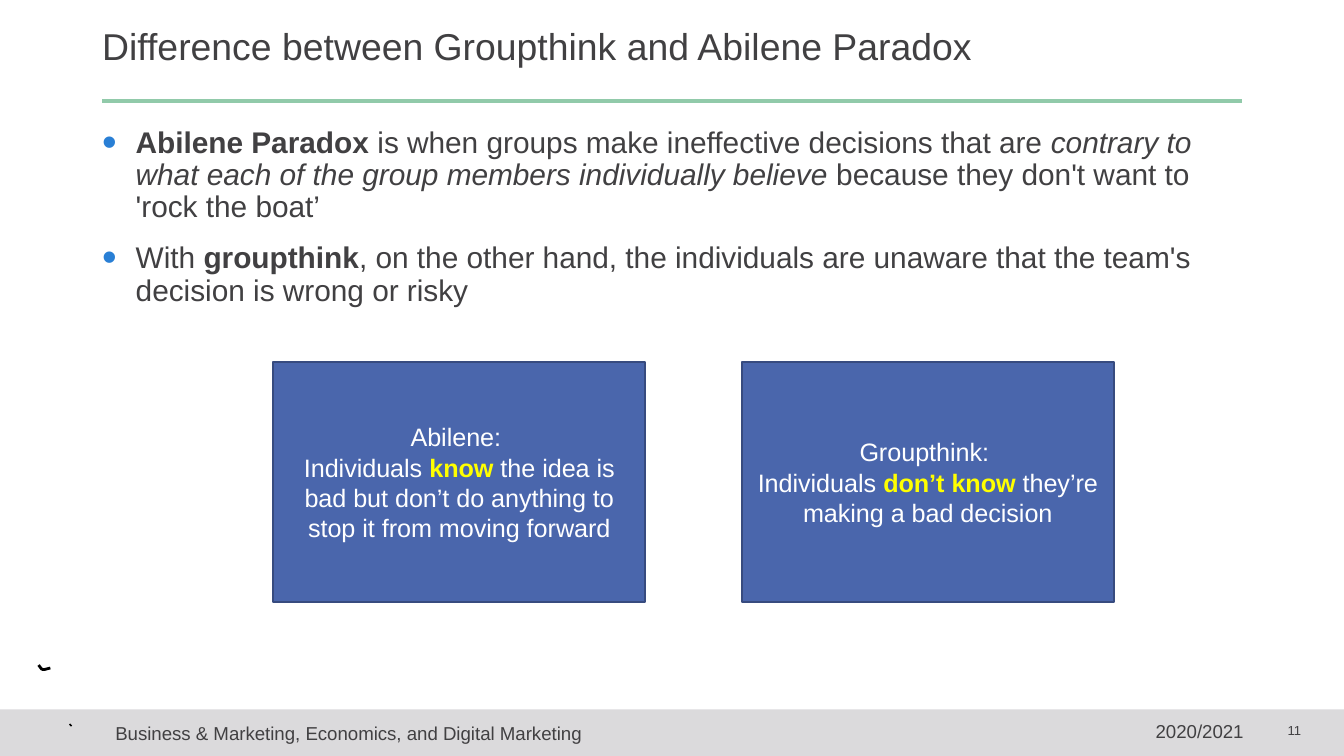
from lxml import etree
from pptx import Presentation
from pptx.dml.color import RGBColor
from pptx.enum.shapes import MSO_CONNECTOR, MSO_SHAPE
from pptx.enum.text import MSO_ANCHOR, MSO_AUTO_SIZE, PP_ALIGN
from pptx.oxml.ns import qn
from pptx.util import Pt

RECT, LINE = MSO_SHAPE.RECTANGLE, MSO_CONNECTOR.STRAIGHT
LEFT, CENTER, RIGHT = PP_ALIGN.LEFT, PP_ALIGN.CENTER, PP_ALIGN.RIGHT
TOP, MIDDLE = MSO_ANCHOR.TOP, MSO_ANCHOR.MIDDLE

COLORS = {
    "text": "414042", "rule": "91CAAA", "bullet": "297FD5", "footer": "DBDADC",
    "box": "4A66AC", "edge": "374B7F", "white": "FFFFFF", "yellow": "FFFF00",
    "ink": "000000",
}
W, H = 720, 405
MARGIN = 54.72

# A paragraph is a list of (text, style) runs.
TITLE = [[("Difference between Groupthink and Abilene Paradox", "")]]
BULLETS = [
    [("Abilene Paradox ", "bold"),
     ("is when groups make ineffective decisions that are ", ""),
     ("contrary to what each of the group members individually believe ", "italic"),
     ("because they don't want to 'rock the boat’", "")],
    [("With ", ""), ("groupthink", "bold"),
     (", on the other hand, the individuals are unaware that the team's "
      "decision is wrong or risky", "")],
]
BOXES = [
    [[("Abilene: ", "")],
     [("Individuals ", ""), ("know", "key"),
      (" the idea is bad but don’t do anything to stop it from moving forward", "")]],
    [[("Groupthink: ", "")],
     [("Individuals ", ""), ("don’t know ", "key"),
      ("they’re making a bad decision", "")]],
]
# text, (left, top, width, height), size, alignment, inset, wrap
FOOTER = [
    ("11", (658, 387.3, 39, 9), 7, RIGHT, 0, True),
    ("Business & Marketing, Economics, and Digital Marketing",
     (MARGIN, 383.3, 266.4, 19.4), 10, LEFT, 7.2, False),
    ("2020/2021", (612, 382.3, 62, 19.4), 10, LEFT, 7.2, False),
]
INK_MARKS = [
    [(38.1, 388.1), (37.5, 388.7)],
    [(20.7, 356.3), (22.3, 358.4), (23, 358.7), (23.8, 358.7), (27, 357.9)],
]


def rgb(name):
    return RGBColor.from_string(COLORS[name])


def place(s, left, top, width, height):
    s.left, s.top, s.width, s.height = Pt(left), Pt(top), Pt(width), Pt(height)


def add_bullet(p):
    pPr = p._p.get_or_add_pPr()
    pPr.set("marL", str(Pt(18)))
    pPr.set("indent", str(-Pt(18)))
    color = etree.SubElement(pPr, qn("a:buClr"))
    etree.SubElement(color, qn("a:srgbClr"), val=COLORS["bullet"])
    etree.SubElement(pPr, qn("a:buSzPct"), val="140000")
    etree.SubElement(pPr, qn("a:buFont"), typeface="Arial")
    etree.SubElement(pPr, qn("a:buChar"), char="•")


def write(s, paragraphs, size, color="text", align=LEFT, anchor=TOP, inset=0,
          wrap=True, spacing=None, before=0, bullets=False):
    tf = s.text_frame
    tf.auto_size = MSO_AUTO_SIZE.NONE
    tf.word_wrap, tf.vertical_anchor = wrap, anchor
    tf.margin_left = tf.margin_right = Pt(inset)
    tf.margin_top = tf.margin_bottom = Pt(inset / 2)
    for i, runs in enumerate(paragraphs):
        p = tf.add_paragraph() if i else tf.paragraphs[0]
        if bullets:
            add_bullet(p)
        p.alignment, p.line_spacing = align, spacing
        p.space_before = Pt(before if i else 0)
        for text, style in runs:
            r = p.add_run()
            r.text = text
            r.font.name, r.font.size = "Arial", Pt(size)
            r.font.bold = style in ("bold", "key")
            r.font.italic = style == "italic"
            r.font.color.rgb = rgb("yellow" if style == "key" else color)


def add_rect(shapes, bounds, fill, edge=None):
    s = shapes.add_shape(RECT, *map(Pt, bounds))
    s.shadow.inherit = False
    s.fill.solid()
    s.fill.fore_color.rgb = rgb(fill)
    if edge:
        s.line.color.rgb, s.line.width = rgb(edge), Pt(1)
    else:
        s.line.fill.background()
    return s


prs = Presentation()
prs.slide_width, prs.slide_height = Pt(W), Pt(H)
slide = prs.slides.add_slide(prs.slide_layouts[1])
shapes = slide.shapes
title, body = slide.placeholders

place(title, MARGIN, 10.8, 609, 30.2)
write(title, TITLE, 20, anchor=MIDDLE, spacing=0.9)
place(body, MARGIN, 68.4, 610, 280)
write(body, BULLETS, 16, spacing=0.9, before=10, bullets=True)

add_rect(shapes, (0, 380, W, H - 380), "footer")
for text, bounds, size, align, inset, wrap in FOOTER:
    s = shapes.add_textbox(*map(Pt, bounds))
    write(s, [[(text, "")]], size, align=align, inset=inset, wrap=wrap)

rule = shapes.add_connector(LINE, Pt(MARGIN), Pt(54), Pt(W - MARGIN), Pt(54))
rule.line.color.rgb, rule.line.width = rgb("rule"), Pt(2.25)
etree.SubElement(rule._element.spPr, qn("a:effectLst"))

for i, paragraphs in enumerate(BOXES):
    s = add_rect(shapes, (146.4 + 251 * i, 194, 199.4, 128.5), "box", "edge")
    write(s, paragraphs, 13.5, color="white", align=CENTER, anchor=MIDDLE, inset=7.2)

for (x, y), *rest in INK_MARKS:
    path = shapes.build_freeform(Pt(x), Pt(y))
    path.add_line_segments([(Pt(a), Pt(b)) for a, b in rest], close=False)
    s = path.convert_to_shape()
    s.shadow.inherit = False
    s.fill.background()
    s.line.color.rgb, s.line.width = rgb("ink"), Pt(1.5)

prs.save("out.pptx")
